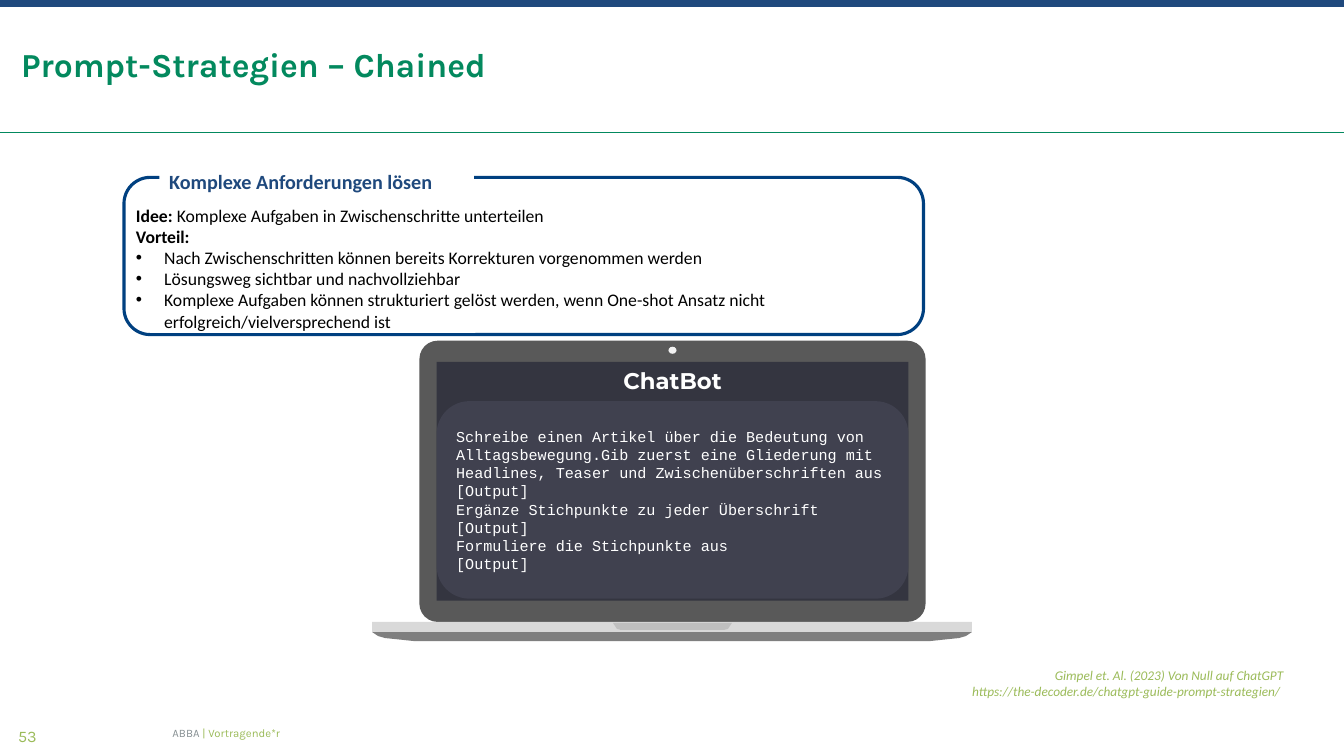
from pptx import Presentation
from pptx.dml.color import RGBColor
from pptx.enum.shapes import MSO_CONNECTOR, MSO_SHAPE
from pptx.enum.text import MSO_ANCHOR, PP_ALIGN
from pptx.oxml.ns import qn
from pptx.util import Inches, Pt
from lxml.etree import SubElement

GREEN, LIME, NAVY, WHITE = "03895E", "9BBB59", "1F497D", "FFFFFF"


def color(value):
    """Turn a hex string into a colour."""
    return RGBColor.from_string(value)


def paint(shape, fill, line=None, width=0):
    """Give a shape a flat fill and an optional outline."""
    shape.shadow.inherit = False
    shape.fill.solid()
    shape.fill.fore_color.rgb = color(fill)
    if line:
        shape.line.color.rgb = color(line)
        shape.line.width = Pt(width)
    else:
        shape.line.fill.background()
    return shape


def add_block(slide, kind, box, fill, line=None, width=0):
    """Add a painted preset shape."""
    shape = slide.shapes.add_shape(kind, *map(Inches, box))
    return paint(shape, fill, line, width)


def add_bullet(paragraph):
    """Give a paragraph a hanging bullet."""
    properties = paragraph._p.get_or_add_pPr()
    properties.set("marL", str(Inches(0.28)))
    properties.set("indent", str(-Inches(0.28)))
    SubElement(properties, qn("a:buFont")).set("typeface", "Arial")
    SubElement(properties, qn("a:buChar")).set("char", "•")


def write_text(shape, paragraphs, font, size, fill, bold=False, italic=False,
               align=PP_ALIGN.LEFT, anchor=MSO_ANCHOR.TOP):
    """Write paragraphs, each a tuple of runs, in one style."""
    frame = shape.text_frame
    frame.word_wrap = True
    frame.vertical_anchor = anchor
    for index, pieces in enumerate(paragraphs):
        paragraph = frame.add_paragraph() if index else frame.paragraphs[0]
        paragraph.text = pieces[0]
        for piece in pieces[1:]:
            paragraph.add_run().text = piece
        paragraph.alignment = align
        for run in paragraph.runs:
            run.font.name = font
            run.font.size = Pt(size)
            run.font.color.rgb = color(fill)
            run.font.bold = bold
            run.font.italic = italic
    return frame


def add_label(slide, box, paragraphs, *style, **options):
    """Add a text box without insets."""
    shape = slide.shapes.add_textbox(*map(Inches, box))
    frame = write_text(shape, paragraphs, *style, **options)
    frame.margin_left = frame.margin_right = 0
    frame.margin_top = frame.margin_bottom = 0
    return frame


def add_rule(slide, top):
    """Draw the line below the title across the slide."""
    rule = slide.shapes.add_connector(
        MSO_CONNECTOR.STRAIGHT, 0, Inches(top), Inches(13.33), Inches(top))
    rule.line.color.rgb = color(GREEN)
    rule.line.width = Pt(0.72)
    SubElement(rule._element.spPr, qn("a:effectLst"))


def add_tapered(slide, left, top, width, profile, fill):
    """Draw a symmetric outline from the inset and depth of its left edge."""
    left_edge = [(left + inset, top + depth) for inset, depth in profile]
    right_edge = [(left + width - inset, top + depth) for inset, depth in profile]
    points = [(Inches(x), Inches(y)) for x, y in left_edge + right_edge[::-1]]
    builder = slide.shapes.build_freeform(*points[0])
    builder.add_line_segments(points[1:], close=True)
    paint(builder.convert_to_shape(), fill)


def add_frame(slide):
    """Add the title, the rule and the footer."""
    add_rule(slide, 1.31)
    add_block(slide, MSO_SHAPE.RECTANGLE, (0, 0, 13.33, 0.07), NAVY)
    add_label(slide, (0.21, 0.44, 12.91, 0.4), [("Prompt-Strategien – Chained",)],
              "Karla", 24, GREEN, bold=True, anchor=MSO_ANCHOR.BOTTOM)
    add_label(slide, (0.18, 7.21, 1.4, 0.19), [("53",)], "Karla", 11.5, LIME)
    footer = add_label(slide, (1.71, 7.2, 9.91, 0.15), [("ABBA ", "| Vortragende*r")],
                       "Karla", 8.1, LIME, anchor=MSO_ANCHOR.MIDDLE)
    footer.paragraphs[0].runs[0].font.color.rgb = color("889194")
    add_label(slide, (0.6, 6.62, 12.13, 0.32),
              [("Gimpel et. Al. (2023) Von Null auf ChatGPT",),
               ("https://the-decoder.de/chatgpt-guide-prompt-strategien/ ",)],
              "Calibri", 9.5, LIME, italic=True,
              align=PP_ALIGN.RIGHT, anchor=MSO_ANCHOR.BOTTOM)


def add_idea_box(slide):
    """Add the outlined box with the idea and its advantages."""
    add_block(slide, MSO_SHAPE.ROUNDED_RECTANGLE, (1.23, 1.76, 7.93, 1.56),
              WHITE, "004080", 2.25)
    heading = add_block(slide, MSO_SHAPE.RECTANGLE, (1.58, 1.63, 3.12, 0.34), WHITE)
    write_text(heading, [("Komplexe Anforderungen lösen",)],
               "Calibri", 14.4, NAVY, bold=True)
    body = slide.shapes.add_textbox(*map(Inches, (1.25, 1.98, 7.61, 1.8)))
    frame = write_text(body, [
        ("Idee: ", "Komplexe Aufgaben in Zwischenschritte unterteilen"),
        ("Vorteil:",),
        ("Nach Zwischenschritten können bereits Korrekturen vorgenommen werden",),
        ("Lösungsweg sichtbar und nachvollziehbar",),
        ("Komplexe Aufgaben können strukturiert gelöst werden, wenn One-shot Ansatz "
         "nicht erfolgreich/vielversprechend ist",),
    ], "Calibri", 12.6, "000000")
    for paragraph in frame.paragraphs[:2]:
        paragraph.runs[0].font.bold = True
    for paragraph in frame.paragraphs[2:]:
        add_bullet(paragraph)


def add_laptop(slide):
    """Add the laptop whose screen shows the chained prompts."""
    lid = add_block(slide, MSO_SHAPE.ROUNDED_RECTANGLE, (4.16, 3.38, 5.02, 2.79), "595959")
    lid.adjustments[0] = 0.065
    screen = add_block(slide, MSO_SHAPE.RECTANGLE, (4.33, 3.59, 4.68, 2.37), "343540")
    write_text(screen, [("ChatBot",)], "Montserrat", 16.2, WHITE, bold=True,
               align=PP_ALIGN.CENTER)
    add_block(slide, MSO_SHAPE.RECTANGLE, (3.69, 6.17, 5.95, 0.1), "D9D9D9")
    add_block(slide, MSO_SHAPE.OVAL, (6.63, 3.44, 0.08, 0.07), "F2F2F2")
    add_tapered(slide, 3.69, 6.27, 5.95,
                [(0, 0), (0.06, 0.04), (0.13, 0.06), (0.23, 0.07), (0.42, 0.09)], "7F7F7F")
    add_tapered(slide, 6.08, 6.18, 1.18,
                [(0, 0), (0.02, 0.03), (0.04, 0.06), (0.08, 0.07)], "BFBFBF")
    prompts = add_block(slide, MSO_SHAPE.ROUNDED_RECTANGLE, (4.33, 3.98, 4.68, 1.96), "40414F")
    write_text(prompts, [
        ("Schreibe einen Artikel über die Bedeutung von Alltagsbewegung.Gib zuerst eine "
         "Gliederung mit Headlines, Teaser und Zwischenüberschriften aus\v[Output]",),
        ("Ergänze Stichpunkte zu jeder Überschrift\v[Output]",),
        ("Formuliere die Stichpunkte aus\v[Output]",),
    ], "Courier New", 10.8, WHITE, anchor=MSO_ANCHOR.MIDDLE)


def main():
    """Build the slide and save it."""
    presentation = Presentation()
    presentation.slide_width = Inches(13.33)
    presentation.slide_height = Inches(7.5)
    slide = presentation.slides.add_slide(presentation.slide_layouts[6])
    add_frame(slide)
    add_idea_box(slide)
    add_laptop(slide)
    presentation.save("out.pptx")


if __name__ == "__main__":
    main()
